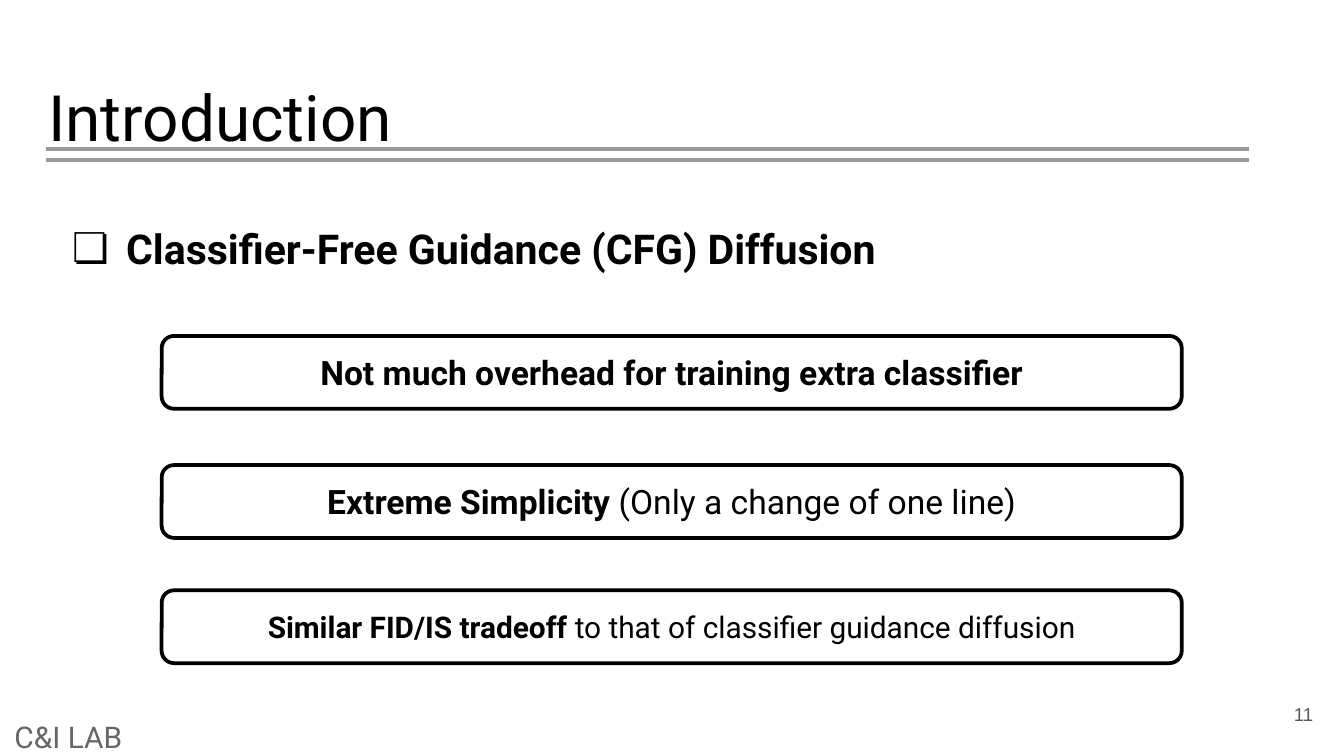
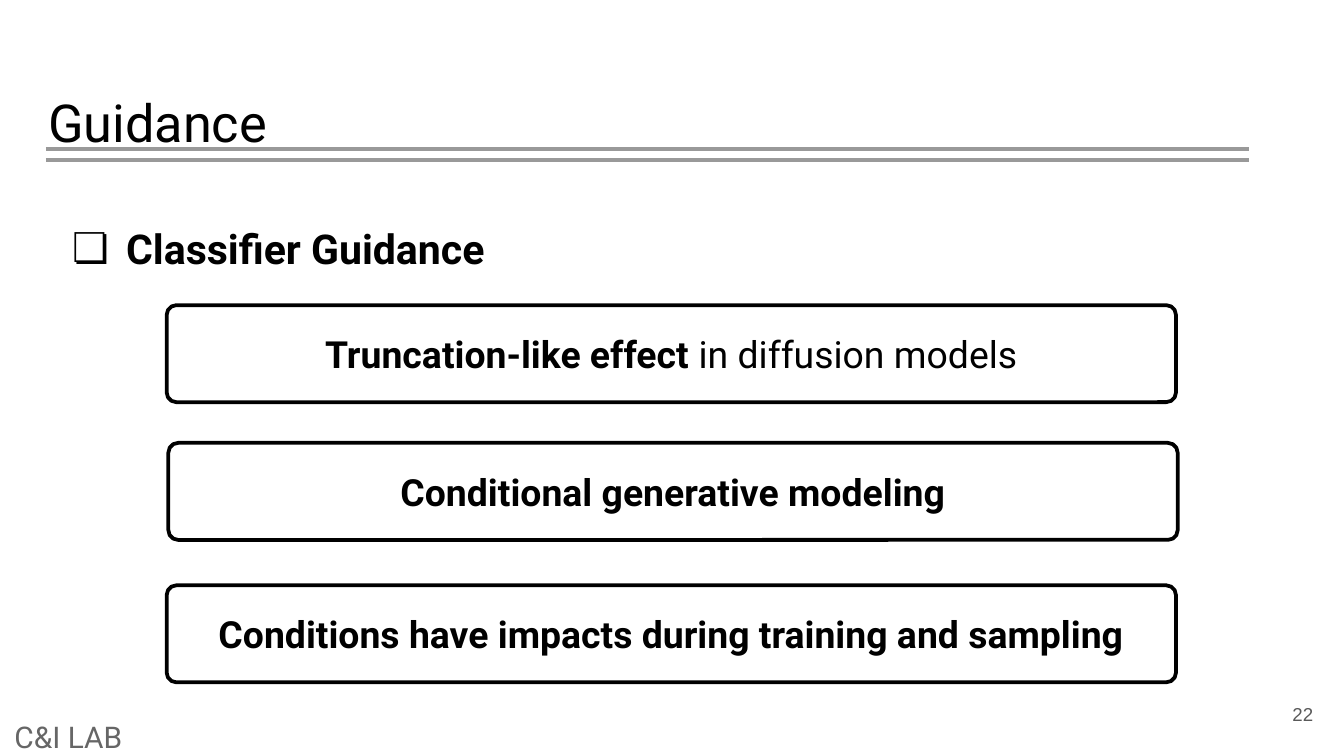
from lxml import etree
from pptx import Presentation
from pptx.dml.color import RGBColor
from pptx.enum.shapes import MSO_CONNECTOR, MSO_SHAPE
from pptx.enum.text import MSO_ANCHOR, MSO_AUTO_SIZE, PP_ALIGN
from pptx.oxml.ns import qn
from pptx.util import Pt

BLACK = RGBColor(0x00, 0x00, 0x00)
WHITE = RGBColor(0xFF, 0xFF, 0xFF)
RULE = RGBColor(0x99, 0x99, 0x99)
FOOT = RGBColor(0x66, 0x66, 0x66)
PAGE = RGBColor(0x59, 0x59, 0x59)
FONT, SANS = "Roboto", "Arial"
LEFT, CENTER, RIGHT = PP_ALIGN.LEFT, PP_ALIGN.CENTER, PP_ALIGN.RIGHT
TOP, MIDDLE = MSO_ANCHOR.TOP, MSO_ANCHOR.MIDDLE
ROUND, LINE = MSO_SHAPE.ROUNDED_RECTANGLE, MSO_CONNECTOR.STRAIGHT
FIXED = MSO_AUTO_SIZE.NONE
PAD = 7.2


class Deck:
    def __init__(self):
        self.prs = Presentation()
        self.prs.slide_width, self.prs.slide_height = Pt(720), Pt(405)
        self.slide = None

    def put(self, shape, runs, size, color=BLACK, font=FONT, align=LEFT,
            anchor=MIDDLE, pad=PAD):
        frame = shape.text_frame
        frame.word_wrap, frame.auto_size = True, FIXED
        frame.vertical_anchor = anchor
        frame.margin_left = frame.margin_right = Pt(pad)
        frame.margin_top = frame.margin_bottom = Pt(pad)
        para = frame.paragraphs[0]
        para.alignment = align
        bolds = {bold for _, bold in runs}
        for text, bold in runs:
            run = para.add_run()
            run.text = text
            if len(bolds) > 1:
                run.font.bold = bold
        para.font.name, para.font.size = font, Pt(size)
        para.font.color.rgb = color
        if len(bolds) == 1:
            para.font.bold = runs[0][1]

    def label(self, spot, text, size, **style):
        box = self.slide.shapes.add_textbox(*map(Pt, spot))
        self.put(box, [(text, False)], size, **style)

    def rules(self):
        group = self.slide.shapes.add_group_shape()
        for y in (80, 85.7):
            line = group.shapes.add_connector(
                LINE, Pt(24.6), Pt(y), Pt(669), Pt(y))
            line.line.color.rgb, line.line.width = RULE, Pt(2.25)
            etree.SubElement(line._element.spPr, qn("a:effectLst"))

    def start(self, title, size, top, page):
        self.slide = self.prs.slides.add_slide(self.prs.slide_layouts[5])
        head = self.slide.shapes.title
        head.left, head.top = Pt(18.7), Pt(top)
        head.width, head.height = Pt(671), Pt(45.1)
        self.put(head, [(title, False)], size, anchor=TOP)
        self.rules()
        self.label((667.4, 367.2, 43.2, 31), page, 10, color=PAGE,
                   font=SANS, align=RIGHT)
        self.label((0.7, 384.5, 720, 20.2), "C&I LAB", 16, color=FOOT)

    def bullet(self, text):
        box = self.slide.shapes.add_textbox(
            Pt(24.5), Pt(108.7), Pt(671), Pt(45.4))
        para = box.text_frame.paragraphs[0]
        props = para._p.get_or_add_pPr()
        props.set("marL", str(Pt(36)))
        props.set("indent", str(-Pt(29)))
        tint = etree.SubElement(props, qn("a:buClr"))
        etree.SubElement(tint, qn("a:srgbClr"), val=str(BLACK))
        etree.SubElement(props, qn("a:buFont"), typeface=FONT)
        etree.SubElement(props, qn("a:buChar"), char="❏")
        self.put(box, [(text, True)], 22, anchor=TOP)
        para.line_spacing = 1.15

    def card(self, spot, runs, size, curve, fill=None):
        box = self.slide.shapes.add_shape(ROUND, *map(Pt, spot))
        box.shadow.inherit = False
        box.adjustments[0] = curve
        if fill is None:
            box.fill.background()
        else:
            box.fill.solid()
            box.fill.fore_color.rgb = fill
        box.line.color.rgb, box.line.width = BLACK, Pt(2)
        self.put(box, runs, size, align=CENTER, pad=3.6)


def main():
    deck = Deck()

    deck.start("Introduction", 34.2, 34.6, "11")
    deck.bullet("Classifier-Free Guidance (CFG) Diffusion")
    perks = [
        (180, 18, [("Not much overhead for training extra classifier", True)]),
        (249.2, 18, [("Extreme Simplicity", True),
                     (" (Only a change of one line)", False)]),
        (316.3, 16, [("Similar FID/IS tradeoff", True),
                     (" to that of classifier guidance diffusion", False)]),
    ]
    for top, size, runs in perks:
        deck.card((86.6, top, 546.5, 39), runs, size, 0.17, WHITE)

    deck.start("Guidance", 28, 41, "22")
    deck.bullet("Classifier Guidance")
    traits = [
        (89.3, 163.5, [("Truncation-like effect ", True),
                       ("in diffusion models", False)]),
        (90.2, 237.3, [("Conditional generative modeling", True)]),
        (89.3, 313.6, [("Conditions have impacts during training and sampling",
                        True)]),
    ]
    for left, top, runs in traits:
        deck.card((left, top, 540.7, 52), runs, 20, 0.1)

    deck.prs.save("out.pptx")


if __name__ == "__main__":
    main()
